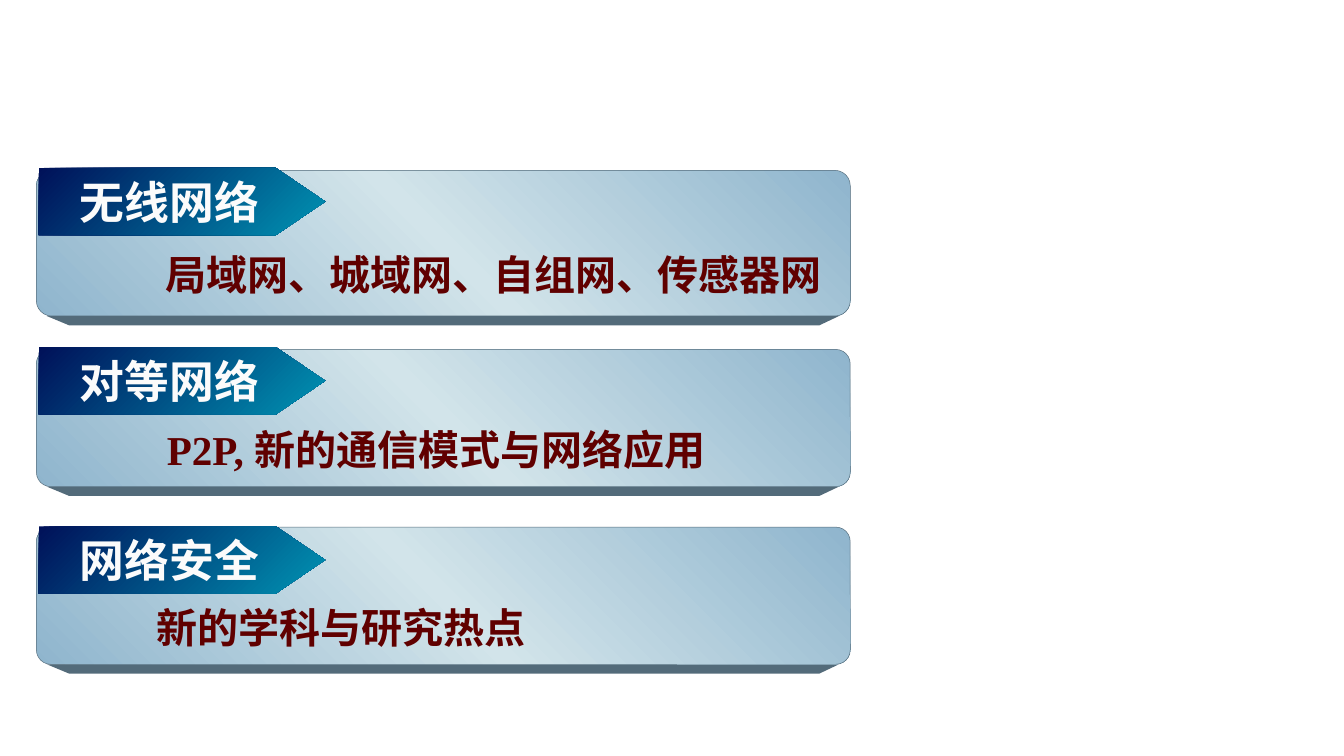
from lxml import etree
from pptx import Presentation
from pptx.dml.color import RGBColor
from pptx.enum.shapes import MSO_SHAPE
from pptx.enum.text import MSO_ANCHOR, PP_ALIGN
from pptx.oxml.ns import qn
from pptx.util import Pt

ROUNDED = MSO_SHAPE.ROUNDED_RECTANGLE
PENTAGON = MSO_SHAPE.PENTAGON
MIDDLE = MSO_ANCHOR.MIDDLE
CENTER = PP_ALIGN.CENTER
EDGE = "536B7A"
PANEL_COLORS = ["8FB5CD", "D2E4EA", "8FB5CD"]
TAG_COLORS = ["001159", "0093B3"]


def set_gradient(sp, colors, angle):
    sp.fill.gradient()
    sp.fill.gradient_angle = angle
    stops = sp.fill._xPr.find(qn("a:gradFill")).find(qn("a:gsLst"))
    stops.clear()
    for i, color in enumerate(colors):
        gs = etree.SubElement(stops, qn("a:gs"), pos=str(100000 * i // (len(colors) - 1)))
        etree.SubElement(gs, qn("a:srgbClr"), val=color)


def set_text(tf, text, size, color):
    p = tf.paragraphs[0]
    p.text = text
    p.alignment = CENTER
    p.font.name = "Times New Roman"
    p.font.size = Pt(size)
    p.font.bold = True
    p.font.color.rgb = RGBColor.from_string(color)


prs = Presentation()
prs.slide_width, prs.slide_height = Pt(720), Pt(405)
s = prs.slides.add_slide(prs.slide_layouts[6])

rows = [
    ("无线网络", "局域网、城域网、自组网、传感器网", 91.3, 78, 59, 410.4, 130.3),
    ("对等网络", "P2P, 新的通信模式与网络应用", 187.2, 73.5, 61.9, 343.4, 223.9),
    ("网络安全", "新的学科与研究热点", 282.4, 73.5, 22.3, 320.4, 319),
]

for i, (title, detail, top, height, text_left, text_width, text_top) in enumerate(rows):
    bottom = top + height
    fb = s.shapes.build_freeform(Pt(25), Pt(bottom))
    fb.add_line_segments([(Pt(449.5), Pt(bottom)), (Pt(439), Pt(bottom + 5)), (Pt(37), Pt(bottom + 5))])
    base = fb.convert_to_shape()
    base.shadow.inherit = False
    base.fill.solid()
    base.fill.fore_color.rgb = RGBColor.from_string(EDGE)
    base.line.fill.background()

    panel = s.shapes.add_shape(ROUNDED, Pt(19.5), Pt(top), Pt(436), Pt(height))
    panel.adjustments[0] = 0.105
    panel.shadow.inherit = False
    set_gradient(panel, PANEL_COLORS, 45)
    panel.line.color.rgb = RGBColor.from_string(EDGE)
    panel.line.width = Pt(0.25)

    box = s.shapes.add_textbox(Pt(text_left), Pt(text_top), Pt(text_width), Pt(34))
    box.text_frame.word_wrap = True
    set_text(box.text_frame, detail, 22, "600000")

    tag = s.shapes.add_shape(PENTAGON, Pt(20.7), Pt(90 + 96 * i), Pt(153.5), Pt(36))
    tag.adjustments[0] = 0.734
    tag.shadow.inherit = False
    set_gradient(tag, TAG_COLORS, 315)
    tag.line.fill.background()
    tag.text_frame.word_wrap = False
    tag.text_frame.vertical_anchor = MIDDLE
    set_text(tag.text_frame, title, 24, "FBFBFB")

prs.save("out.pptx")
